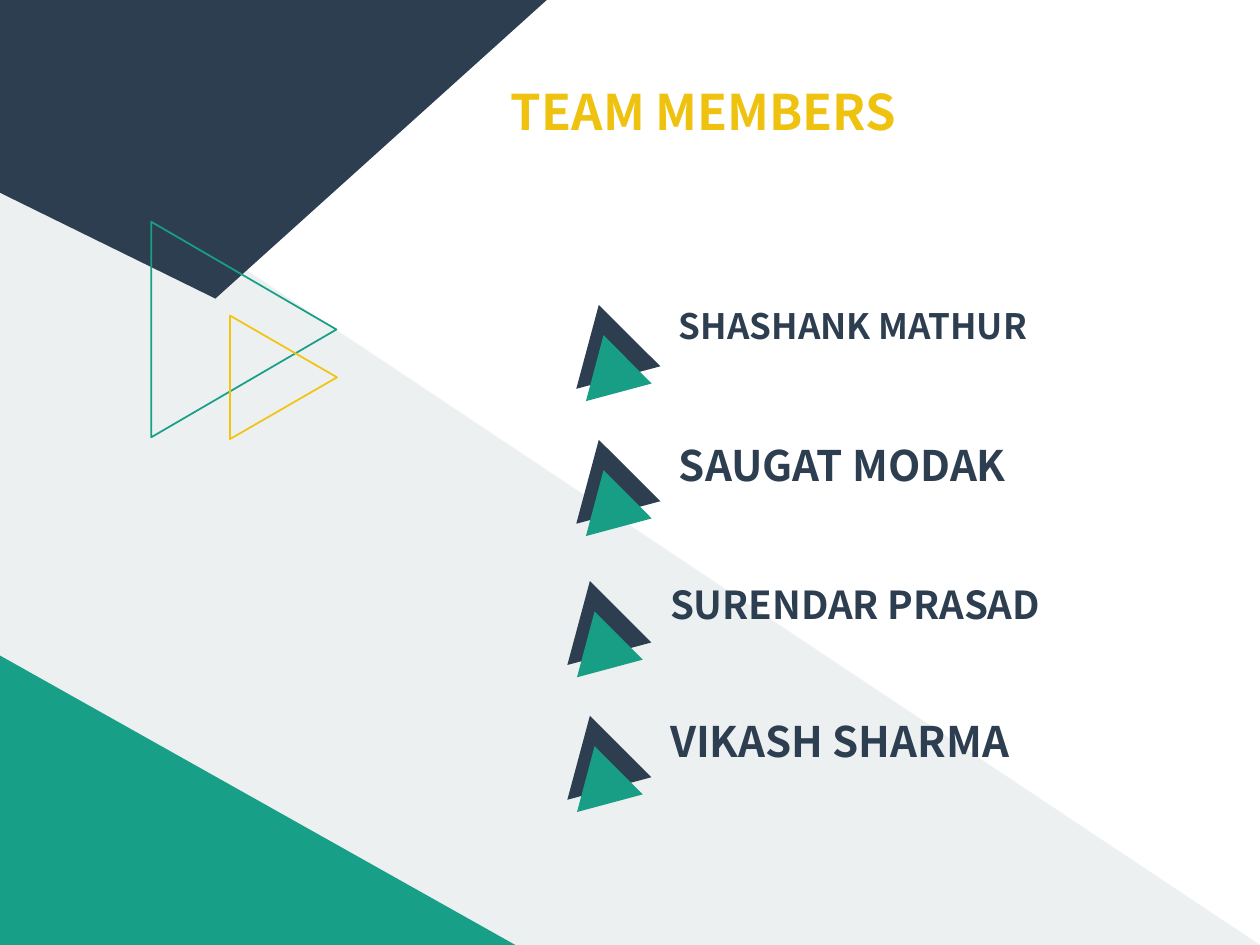
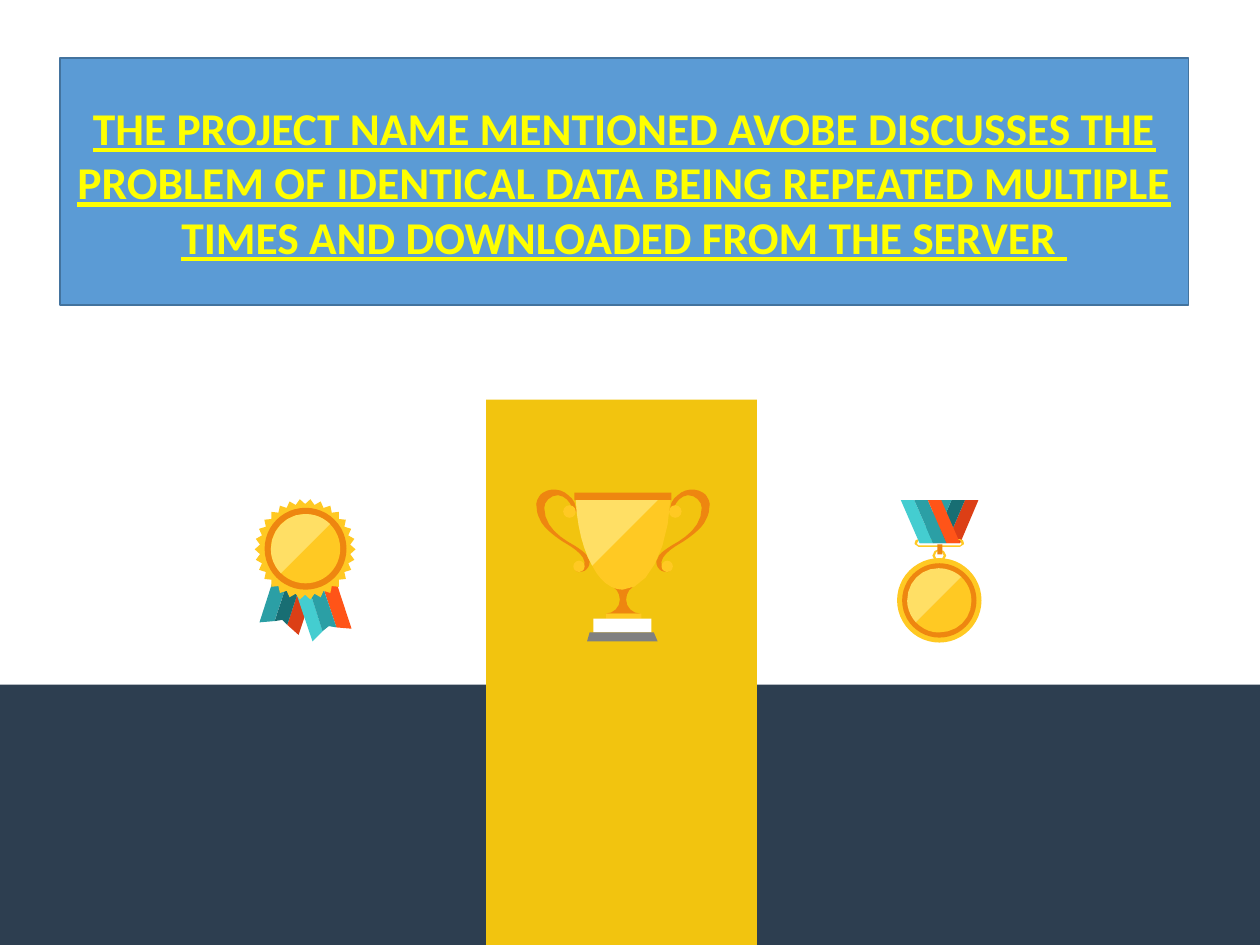
import math
import pptx
import pptx.dml.color
import pptx.enum.shapes
import pptx.enum.text
import pptx.util

Pt = pptx.util.Pt
Kind = pptx.enum.shapes.MSO_SHAPE
Align = pptx.enum.text.PP_ALIGN
Anchor = pptx.enum.text.MSO_ANCHOR


class Theme:
    navy = "2D3E50"
    green = "179F87"
    leaf = "179E85"
    pale = "ECF0F1"
    yellow = "F2C40F"
    title_yellow = "EEC20F"
    banner = "5B9BD5"
    banner_line = "43739E"
    banner_text = "FFFF00"
    white = "FFFFFF"
    grey = "808080"
    gold = "FFC923"
    light_gold = "FFDF65"
    bronze = "EE8610"
    red = "DC3F16"
    orange = "FF5418"
    teal = "2B9FA5"
    dark_teal = "186E73"
    aqua = "44CDD0"
    name_font = "Noto Sans CJK SC"
    banner_font = "Calibri"
    title_size = 28
    banner_size = 26
    small_name = 20
    medium_name = 22
    large_name = 24
    icon_unit = 0.72


def place(shapes, kind, frame, fill=None, line=None, rotation=0):
    shape = shapes.add_shape(kind, *[Pt(length) for length in frame])
    shape.shadow.inherit = False
    shape.rotation = rotation
    if fill:
        shape.fill.solid()
        shape.fill.fore_color.rgb = pptx.dml.color.RGBColor.from_string(fill)
    else:
        shape.fill.background()
    if line:
        shape.line.color.rgb = pptx.dml.color.RGBColor.from_string(line)
        shape.line.width = Pt(1)
    else:
        shape.line.fill.background()


def trace(shapes, colour, outline):
    builder = None
    for contour in outline.split("|"):
        points = []
        for step in contour.split():
            knots = [tuple(float(value) for value in knot.split(",")) for knot in step.split("/")]
            if len(knots) == 1:
                points += knots
                continue
            curve = [points[-1]] + knots
            pieces = min(6, max(1, math.ceil(math.dist(curve[0], curve[3]) / 4)))
            for piece in range(1, pieces + 1):
                t = piece / pieces
                weights = ((1 - t) ** 3, 3 * t * (1 - t) ** 2, 3 * t * t * (1 - t), t ** 3)
                points.append(tuple(sum(w * knot[axis] for w, knot in zip(weights, curve)) for axis in (0, 1)))
        points = [(Pt(x * Theme.icon_unit), Pt(y * Theme.icon_unit)) for x, y in points]
        if builder is None:
            builder = shapes.build_freeform(*points[0], scale=1.0)
        else:
            builder.move_to(*points[0])
        builder.add_line_segments(points[1:], close=True)
    shape = builder.convert_to_shape()
    shape.shadow.inherit = False
    shape.fill.solid()
    shape.fill.fore_color.rgb = pptx.dml.color.RGBColor.from_string(colour)
    shape.line.fill.background()


deck = pptx.Presentation()
deck.slide_width = Pt(720)
deck.slide_height = Pt(540)
title_only = deck.slide_layouts[5]
writings = []

team = deck.slides.add_slide(title_only)
place(team.shapes, Kind.RIGHT_TRIANGLE, (0, 60.5, 720, 479.5), Theme.pale)
trace(team.shapes, Theme.navy, "0,0 434,0 171,237 0,153")
place(team.shapes, Kind.RIGHT_TRIANGLE, (0, 374.6, 294.5, 165.4), Theme.green)
place(team.shapes, Kind.ISOSCELES_TRIANGLE, (77.8, 135.4, 123.1, 105.8), line=Theme.green, rotation=90)
place(team.shapes, Kind.ISOSCELES_TRIANGLE, (126.7, 185, 70.6, 61.2), line=Theme.yellow, rotation=90)

title = team.shapes.title
title.left, title.top, title.width, title.height = Pt(284.8), Pt(43.2), Pt(365), Pt(41)
writings.append((title, "TEAM MEMBERS", Theme.title_size, Theme.title_yellow))

members = [
    ("SHASHANK MATHUR", Theme.small_name, 380.9, 170.6),
    ("SAUGAT MODAK", Theme.large_name, 380.9, 247.7),
    ("SURENDAR PRASAD", Theme.medium_name, 375.8, 328.4),
    ("VIKASH SHARMA", Theme.large_name, 375.8, 405.4),
]
for name, size, left, top in members:
    marker = team.shapes.add_group_shape()
    place(marker.shapes, Kind.ISOSCELES_TRIANGLE, (left - 58, top + 2.9, 49.7, 43), Theme.navy, rotation=345)
    place(marker.shapes, Kind.ISOSCELES_TRIANGLE, (left - 51.1, top + 20.4, 38.9, 33.8), Theme.leaf, rotation=345)
    box = team.shapes.add_textbox(Pt(left), Pt(top), Pt(255.6), Pt(size * 1.22 + 7.2))
    writings.append((box, name, size, Theme.navy))

for box, text, size, colour in writings:
    frame = box.text_frame
    frame.word_wrap = True
    frame.auto_size = pptx.enum.text.MSO_AUTO_SIZE.NONE
    frame.vertical_anchor = Anchor.TOP
    para = frame.paragraphs[0]
    para.text = text
    para.alignment = Align.JUSTIFY
    para.font.name = Theme.name_font
    para.font.size = Pt(size)
    para.font.bold = True
    para.font.color.rgb = pptx.dml.color.RGBColor.from_string(colour)

project = deck.slides.add_slide(title_only)
place(project.shapes, Kind.RECTANGLE, (0, 391.2, 720, 148.8), Theme.navy)
place(project.shapes, Kind.RECTANGLE, (277.8, 228.4, 154.8, 311.6), Theme.yellow)

handle = (
    "561,394 561,393/559,392/558,391 552,387/543,388/538,393 536,394/534,397/533,399 "
    "532,402/532,404/531,406 534,407 535,400/539,394/546,393 552,393/557,398/557,403 "
    "557,418/544,427/533,433 530,435/525,438/523,441 522,443/522,444/521,445 "
    "521,447/521,449/522,450 523,451/524,453/525,453 527,454/528,454/530,454 "
    "531,454/532,453/532,453 532,450 530,451/528,451/527,450 525,449/525,448/525,446 "
    "526,439/537,433/542,430 548,426/555,421/559,415 561,411/563,408/563,403 564,400/563,397/561,394"
)
mirrored_handle = " ".join(
    "/".join(f"{989 - int(knot[:3])}{knot[3:]}" for knot in step.split("/")) for step in handle.split()
)
trophy = [
    (Theme.bronze, "497,476 497,472/499,468/502,466 487,466 490,468/492,472/492,476 "
                   "492,482/487,487/481,487 508,487 502,487/497,482/497,476"),
    (Theme.gold, (Kind.RECTANGLE, 481, 487, 28, 4)),
    (Theme.white, (Kind.RECTANGLE, 471, 491, 46, 11)),
    (Theme.grey, "522,509 466,509 468,502 519,502"),
    (Theme.bronze, (Kind.RECTANGLE, 456, 391, 77, 6)),
    (Theme.bronze, handle),
    (Theme.gold, (Kind.OVAL, 531, 401, 10, 10)),
    (Theme.gold, (Kind.OVAL, 525, 445, 9, 9)),
    (Theme.bronze, mirrored_handle),
    (Theme.gold, (Kind.OVAL, 447, 401, 10, 10)),
    (Theme.gold, (Kind.OVAL, 455, 445, 9, 9)),
    (Theme.gold, "522,397 457,397 458,418/463,437/470,449 476,461/485,468/494,468 "
                 "514,468/530,437/532,397"),
    (Theme.light_gold, "457,397 458,418/463,437/470,449 522,397"),
]

teeth = 30
rim = []
for corner in range(2 * teeth):
    radius = 40 if corner % 2 else 36
    angle = math.pi * corner / teeth
    rim.append(f"{242.2 + radius * math.sin(angle):.2f},{436 - radius * math.cos(angle):.2f}")
rosette = [
    (Theme.red, "247,438 228,496 237,504 259,438"),
    (Theme.teal, "224,438 206,494 218,493 236,438"),
    (Theme.dark_teal, "236,438 218,493 224,492 228,496 247,438"),
    (Theme.aqua, "224,438 248,509 256,501 236,438"),
    (Theme.orange, "247,438 267,498 279,499 259,438"),
    (Theme.teal, "236,438 256,501 261,497 267,498 247,438"),
    (Theme.gold, " ".join(rim)),
    (Theme.bronze, (Kind.OVAL, 210, 403, 65, 65)),
    (Theme.gold, (Kind.OVAL, 215, 408, 55, 55)),
    (Theme.light_gold, "242,408 227,408/215,421/215,436 215,443/218,450/223,455 "
                       "262,416 257,411/250,408/242,408"),
]

medal = []
for colour, x in ((Theme.red, 751.4), (Theme.dark_teal, 740.7), (Theme.teal, 730)):
    medal.append((colour, f"{x},431 {x + 10.7},431 {x + 25.1},397 {x + 14.4},397"))
medal += [
    (Theme.gold, "729,434 727,434/726,433/726,432 726,431 726,429/727,428/729,428 762,428 "
                 "764,428/765,429/765,431 765,432 765,433/764,434/762,434|"
                 "763,431 763,430/763,429/762,429 729,429 728,429/728,430/728,431 "
                 "728,432 728,432/728,433/729,433 762,433 763,433/763,432/763,432"),
    (Theme.gold, "745,436 743,436/740,438/740,441 740,444/743,446/745,446 "
                 "748,446/751,444/751,441 751,438/748,436/745,436|"
                 "745,444 744,444/742,443/742,441 742,439/744,437/745,437 "
                 "747,437/749,439/749,441 749,443/747,444/745,444"),
    (Theme.bronze, (Kind.RECTANGLE, 744, 432, 4, 8)),
    (Theme.gold, (Kind.OVAL, 712, 443, 67, 67)),
    (Theme.bronze, (Kind.OVAL, 716, 447, 59, 59)),
]
for colour, x in ((Theme.aqua, 715), (Theme.teal, 725.7), (Theme.orange, 736.4)):
    medal.append((colour, f"{x + 25.5},431 {x + 14.8},431 {x},397 {x + 10.7},397"))
medal += [
    (Theme.light_gold, "745,451 731,451/720,462/720,477 720,483/723,490/727,494 "
                       "763,458 759,454/752,451/745,451"),
    (Theme.gold, "763,458 727,494 732,499/738,502/745,502 760,502/771,491/771,477 "
                 "771,469/768,463/763,458"),
]

for icon in (trophy, rosette, medal):
    group = project.shapes.add_group_shape()
    for colour, part in icon:
        if isinstance(part, str):
            trace(group.shapes, colour, part)
        else:
            place(group.shapes, part[0], [length * Theme.icon_unit for length in part[1:]], colour)

banner = project.shapes.title
banner.left, banner.top, banner.width, banner.height = Pt(34.4), Pt(33.1), Pt(644.8), Pt(141.3)
banner.fill.solid()
banner.fill.fore_color.rgb = pptx.dml.color.RGBColor.from_string(Theme.banner)
banner.line.color.rgb = pptx.dml.color.RGBColor.from_string(Theme.banner_line)
banner.line.width = Pt(1)
frame = banner.text_frame
frame.word_wrap = True
frame.auto_size = pptx.enum.text.MSO_AUTO_SIZE.NONE
frame.vertical_anchor = Anchor.MIDDLE
para = frame.paragraphs[0]
para.text = (
    "THE PROJECT NAME MENTIONED AVOBE DISCUSSES THE PROBLEM OF IDENTICAL DATA "
    "BEING REPEATED MULTIPLE TIMES AND DOWNLOADED FROM THE SERVER "
)
para.alignment = Align.CENTER
para.font.name = Theme.banner_font
para.font.size = Pt(Theme.banner_size)
para.font.bold = True
para.font.underline = True
para.font.color.rgb = pptx.dml.color.RGBColor.from_string(Theme.banner_text)

deck.save("out.pptx")
